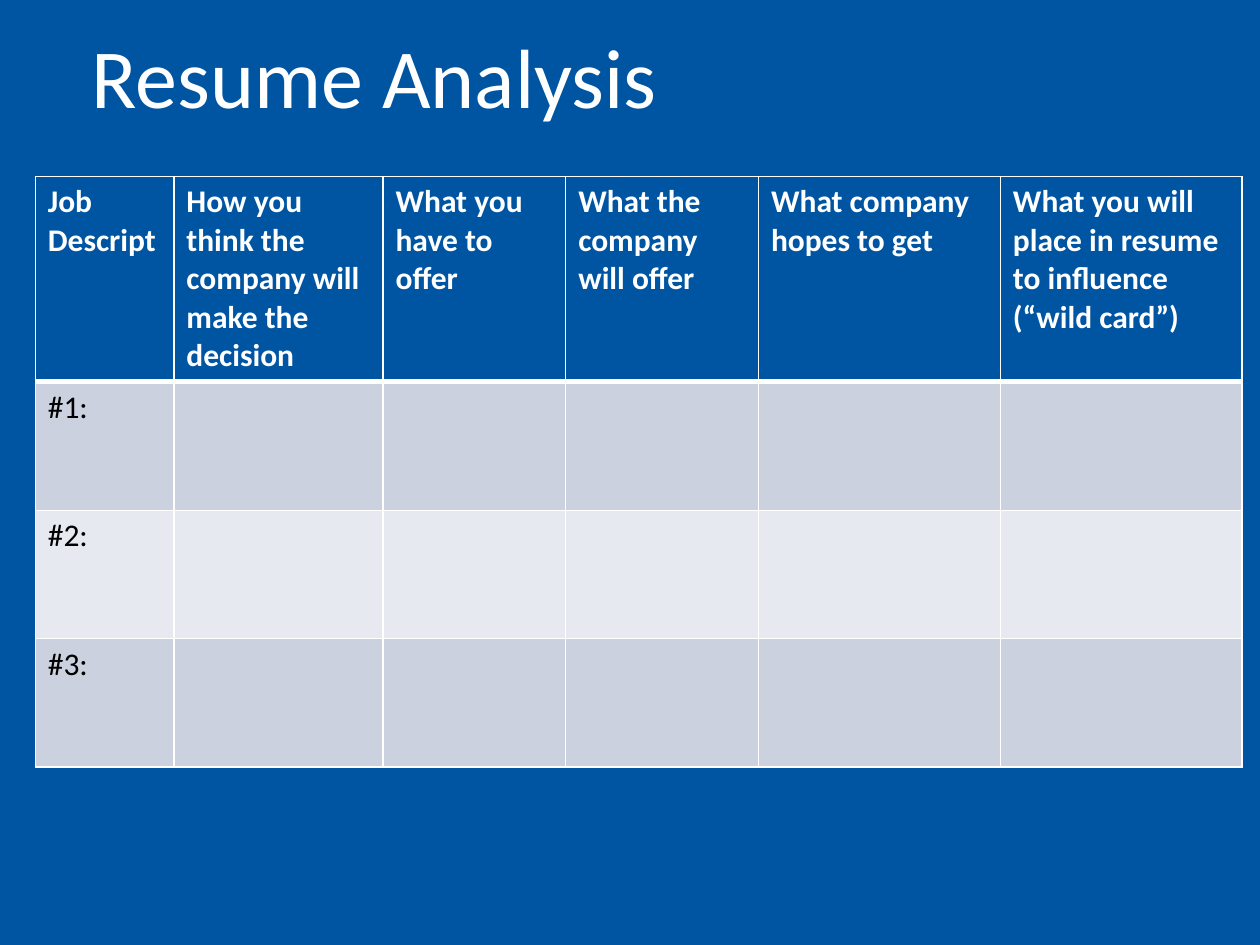
from lxml import etree
from pptx import Presentation
from pptx.dml.color import RGBColor
from pptx.enum.text import MSO_ANCHOR
from pptx.oxml.ns import qn
from pptx.util import Inches, Pt

MIDDLE = MSO_ANCHOR.MIDDLE
FONT = "Calibri"
COLORS = {
    "blue": "0055A2",
    "white": "FFFFFF",
    "black": "000000",
    "band_dark": "CCD1E0",
    "band_light": "E7E9F0",
}
SLIDE_W, SLIDE_H = 10, 7.5
COL_WIDTHS = [1.1, 1.66, 1.45, 1.53, 1.92, 1.92]
ROW_HEIGHTS = [1.63, 1.02, 1.02, 1.02]
HEADERS = [
    "Job Descript",
    "How you think the company will make the decision",
    "What you have to offer",
    "What the company will offer",
    "What company hopes to get",
    "What you will place in resume to influence (“wild card”)",
]
JOBS = ["#1:", "#2:", "#3:"]


def rgb(name):
    """Return the named palette colour."""
    return RGBColor.from_string(COLORS[name])


def add_run(p, text, size, color, bold=False):
    """Add one styled run to a paragraph."""
    r = p.add_run()
    r.text = text
    r.font.name = FONT
    r.font.size = Pt(size)
    r.font.bold = bold
    r.font.color.rgb = rgb(color)


def set_borders(cell, top, bottom):
    """Draw white borders round a cell, with top and bottom widths in points."""
    tc_pr = cell._tc.get_or_add_tcPr()
    widths = {"a:lnL": 1, "a:lnR": 1, "a:lnT": top, "a:lnB": bottom}
    for i, (tag, width) in enumerate(widths.items()):
        ln = etree.Element(qn(tag), w=str(Pt(width)))
        fill = etree.SubElement(ln, qn("a:solidFill"))
        etree.SubElement(fill, qn("a:srgbClr"), val=COLORS["white"])
        tc_pr.insert(i, ln)


def add_title(s, box, text):
    """Place the slide title in the given box."""
    tf = s.shapes.add_textbox(*map(Inches, box)).text_frame
    tf.word_wrap = True
    tf.vertical_anchor = MIDDLE
    p = tf.paragraphs[0]
    p.line_spacing = 0.9
    add_run(p, text, 48, "white")


def add_analysis_table(s, box):
    """Place the job comparison table in the given box."""
    rows = [HEADERS] + [[job] + [""] * (len(HEADERS) - 1) for job in JOBS]
    frame = s.shapes.add_table(len(rows), len(HEADERS), *map(Inches, box))
    table = frame.table
    for column, width in zip(table.columns, COL_WIDTHS):
        column.width = Inches(width)
    for i, texts in enumerate(rows):
        table.rows[i].height = Inches(ROW_HEIGHTS[i])
        header = i == 0
        band = "band_dark" if i % 2 else "band_light"
        for j, text in enumerate(texts):
            cell = table.cell(i, j)
            cell.fill.solid()
            cell.fill.fore_color.rgb = rgb("blue" if header else band)
            set_borders(cell, 3 if i == 1 else 1, 3 if header else 1)
            if text:
                color = "white" if header else "black"
                add_run(cell.text_frame.paragraphs[0], text, 18, color, header)


def main():
    """Build and save the slide."""
    prs = Presentation()
    prs.slide_width, prs.slide_height = Inches(SLIDE_W), Inches(SLIDE_H)
    s = prs.slides.add_slide(prs.slide_layouts[6])
    s.background.fill.solid()
    s.background.fill.fore_color.rgb = rgb("blue")
    add_title(s, (0.63, 0.16, 8.62, 0.97), "Resume Analysis")
    add_analysis_table(s, (0.28, 1.4, sum(COL_WIDTHS), sum(ROW_HEIGHTS)))
    prs.save("out.pptx")


if __name__ == "__main__":
    main()
